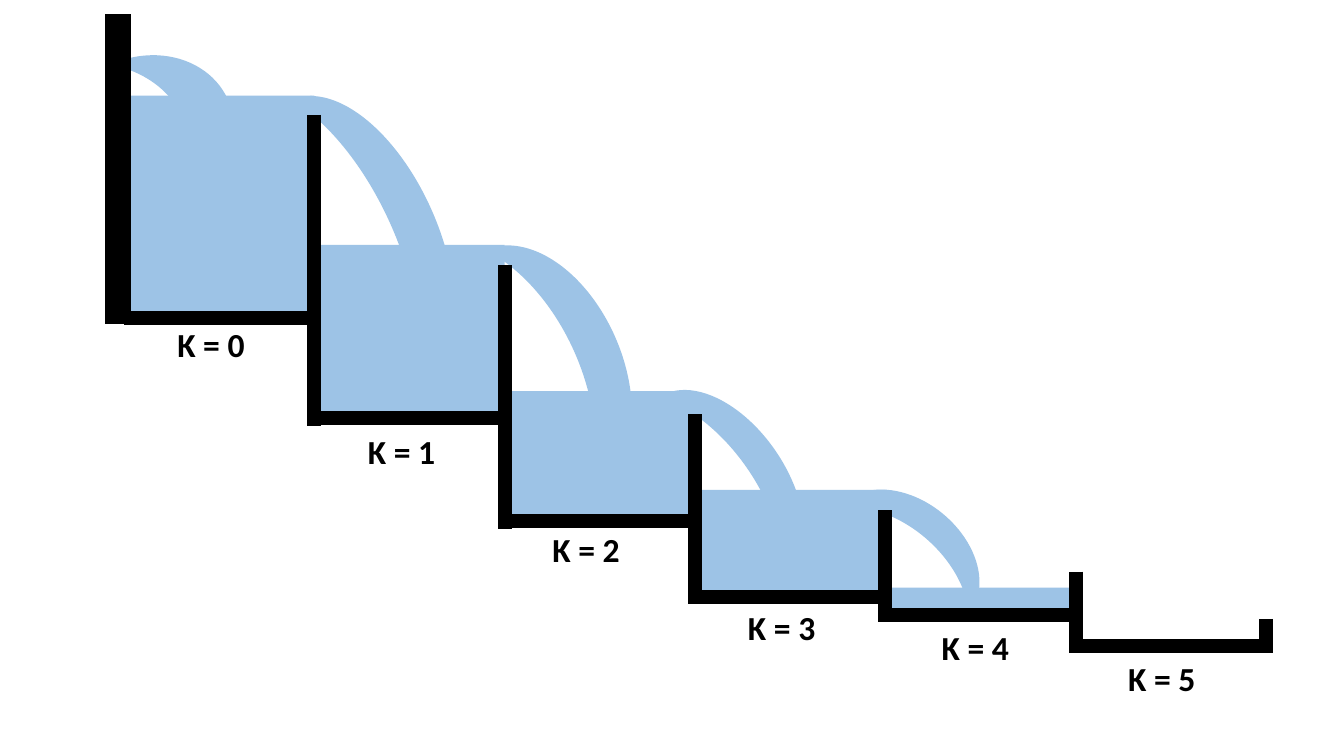
import pptx
import pptx.util
import pptx.dml.color
import pptx.enum.shapes
import pptx.oxml.ns
import lxml.etree
from pptx.util import Inches

WATER, WALL = "9DC3E6", "000000"
SHAPES = pptx.enum.shapes.MSO_SHAPE


def color(value):
    return pptx.dml.color.RGBColor.from_string(value)


class Cascade:
    font, size, line_width = "Calibri", 24, 10

    def __init__(self, slide):
        self.s = slide

    def water(self, kind, x, y, w, h, angle=0, adj=None):
        sp = self.s.shapes.add_shape(kind, Inches(x), Inches(y), Inches(w), Inches(h))
        sp.shadow.inherit = False
        sp.fill.solid()
        sp.fill.fore_color.rgb = color(WATER)
        sp.line.fill.background()
        sp.rotation = angle
        if adj is not None:
            sp.adjustments[0] = adj

    def wall(self, x1, y1, x2, y2):
        c = self.s.shapes.add_connector(
            pptx.enum.shapes.MSO_CONNECTOR.STRAIGHT,
            Inches(x1), Inches(y1), Inches(x2), Inches(y2))
        c.line.color.rgb = color(WALL)
        c.line.width = pptx.util.Pt(self.line_width)
        props = c._element.spPr
        lxml.etree.SubElement(props, pptx.oxml.ns.qn("a:effectLst"))

    def label(self, text, x, y):
        sp = self.s.shapes.add_textbox(Inches(x), Inches(y), Inches(1.31), Inches(0.83))
        tf = sp.text_frame
        tf.word_wrap = True
        tf.text = text
        f = tf.paragraphs[0].runs[0].font
        f.name, f.size, f.bold = self.font, pptx.util.Pt(self.size), True
        f.color.rgb = color(WALL)


prs = pptx.Presentation()
prs.slide_width, prs.slide_height = Inches(13.33), Inches(7.5)
cascade = Cascade(prs.slides.add_slide(prs.slide_layouts[6]))

# Falling streams: left, top, width, height, angle, thickness
streams = [
    (1.38, 0.38, 0.92, 1.59, 155.5, 0.519),
    (3.48, 0.70, 0.86, 3.22, 157.4, 0.5),
    (5.29, 2.21, 0.86, 2.67, 157.4, 0.5),
    (7.10, 3.57, 0.66, 2.21, 146.3, 0.5),
    (8.87, 4.50, 0.59, 1.65, 129.7, 0.5),
]
for stream in streams:
    cascade.water(SHAPES.MOON, *stream)

# Basins: water level, floor, wall base, left wall top, right wall top, label x, y
basins = [
    (0.95, 3.15, 3.21, 0.14, 1.14, 1.66, 3.16),
    (2.43, 4.15, 4.23, 2.62, 2.63, 3.55, 4.23),
    (3.88, 5.17, 5.25, 4.11, 4.11, 5.38, 5.20),
    (4.86, 5.92, 5.99, 5.17, 5.06, 7.32, 5.97),
    (5.83, 6.10, 6.17, 5.66, 5.67, 9.24, 6.17),
    (None, 6.41, 6.48, 6.14, 6.14, 11.09, 6.48),
]
FIRST_X, BASIN_WIDTH = 1.23, 1.888

# Water lies behind every wall
for k, (level, floor, *_) in enumerate(basins):
    if level is not None:
        cascade.water(SHAPES.RECTANGLE, FIRST_X + k * BASIN_WIDTH, level,
                      BASIN_WIDTH, floor - level)

# Walls, floors and labels
for k, (_, floor, base, left_top, right_top, label_x, label_y) in enumerate(basins):
    left = FIRST_X + k * BASIN_WIDTH
    right = left + BASIN_WIDTH
    cascade.wall(left, left_top, left, base)
    cascade.wall(right, floor, left, floor)
    cascade.wall(right, right_top, right, base)
    cascade.label(f"K = {k}", label_x, label_y)

# Second line that thickens the outer wall
cascade.wall(1.11, 0.14, 1.11, 3.21)

prs.save("out.pptx")
